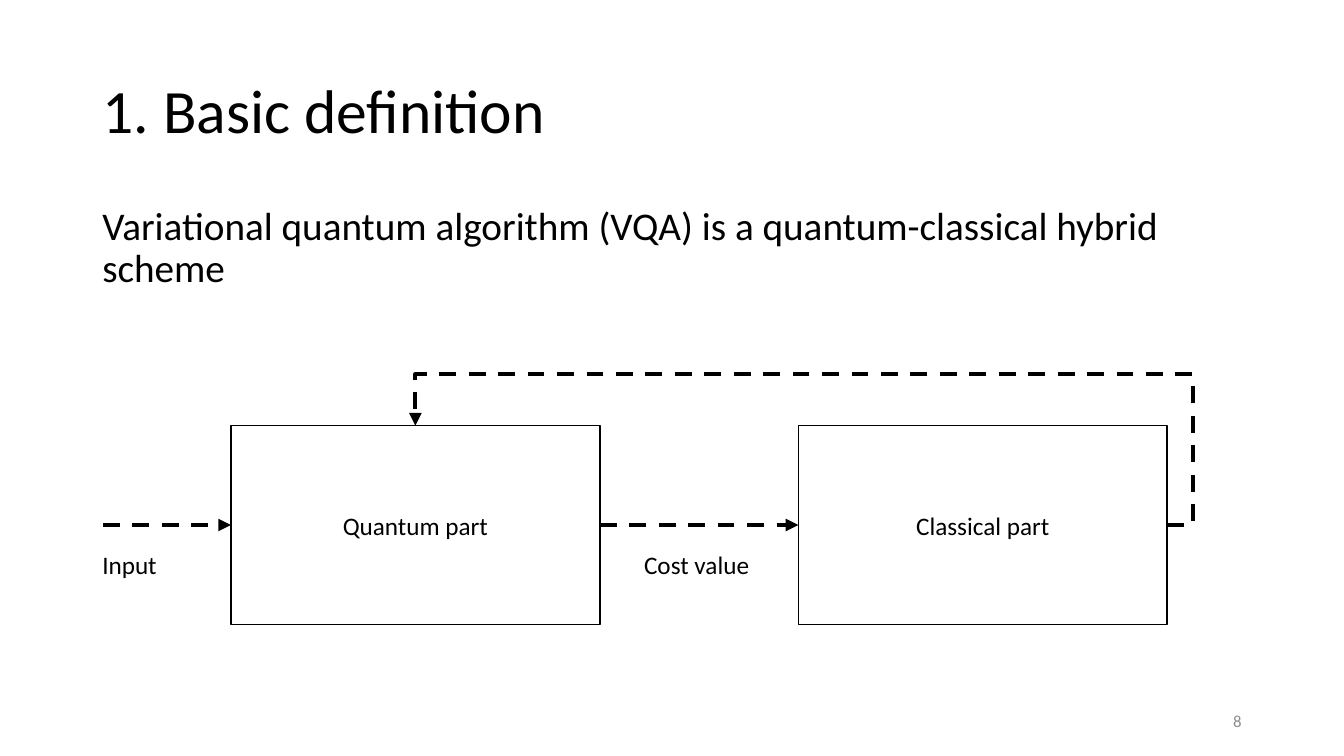
from lxml import etree
from pptx import Presentation
from pptx.dml.color import RGBColor
from pptx.enum import dml, shapes, text
from pptx.oxml import ns
from pptx.util import Pt

FONT = "Calibri"
BLACK = "000000"
GREY = "8C8C8C"
TOP, LEFT, BOTTOM, RIGHT = range(4)
PART_TOP, PART_WIDTH, PART_HEIGHT = 304, 263.5, 142
FLOW_Y = PART_TOP + PART_HEIGHT / 2
LABEL_TOP = 389


def colour(value):
    return RGBColor.from_string(value)


def write(shape, words, size, ink=BLACK, align=text.PP_ALIGN.LEFT,
          anchor=text.MSO_ANCHOR.TOP, spacing=1.0):
    frame = shape.text_frame
    frame.word_wrap = True
    frame.vertical_anchor = anchor
    paragraph = frame.paragraphs[0]
    paragraph.alignment = align
    paragraph.line_spacing = spacing
    run = paragraph.add_run()
    run.text = words
    run.font.name = FONT
    run.font.size = Pt(size)
    run.font.color.rgb = colour(ink)


def add_label(slide, left, top, width, height, words, size, **style):
    label = slide.shapes.add_textbox(Pt(left), Pt(top), Pt(width), Pt(height))
    write(label, words, size, **style)


def add_part(slide, left, words):
    part = slide.shapes.add_shape(shapes.MSO_SHAPE.RECTANGLE, Pt(left), Pt(PART_TOP),
                                  Pt(PART_WIDTH), Pt(PART_HEIGHT))
    part.shadow.inherit = False
    part.fill.background()
    part.line.color.rgb = colour(BLACK)
    part.line.width = Pt(1)
    write(part, words, 18, align=text.PP_ALIGN.CENTER, anchor=text.MSO_ANCHOR.MIDDLE)
    return part


def add_arrow(slide, target, side, source=None, start_x=0,
              kind=shapes.MSO_CONNECTOR.STRAIGHT):
    arrow = slide.shapes.add_connector(kind, Pt(start_x), Pt(FLOW_Y), Pt(start_x), Pt(FLOW_Y))
    if source is not None:
        arrow.begin_connect(source, RIGHT)
    arrow.end_connect(target, side)
    arrow.line.color.rgb = colour(BLACK)
    arrow.line.width = Pt(3)
    arrow.line.dash_style = dml.MSO_LINE.DASH
    etree.SubElement(arrow.line._get_or_add_ln(), ns.qn("a:tailEnd"), type="triangle")
    etree.SubElement(arrow._element.spPr, ns.qn("a:effectLst"))
    return arrow


def route_around(arrow, *adjustments):
    geometry = arrow._element.spPr.find(ns.qn("a:prstGeom"))
    geometry.set("prst", "bentConnector4")
    guides = geometry.find(ns.qn("a:avLst"))
    if guides is None:
        guides = etree.SubElement(geometry, ns.qn("a:avLst"))
    for number, share in enumerate(adjustments, 1):
        etree.SubElement(guides, ns.qn("a:gd"), name=f"adj{number}",
                         fmla=f"val {round(share * 100000)}")


def main():
    deck = Presentation()
    deck.slide_width, deck.slide_height = Pt(960), Pt(540)
    slide = deck.slides.add_slide(deck.slide_layouts[5])

    title = slide.shapes.title
    title.left, title.top, title.width, title.height = Pt(66), Pt(28.8), Pt(828), Pt(104.4)
    write(title, "1. Basic definition", 44, anchor=text.MSO_ANCHOR.MIDDLE, spacing=0.9)
    add_label(slide, 66, 144, 828, 105,
              "Variational quantum algorithm (VQA) is a quantum-classical hybrid scheme",
              28, spacing=0.9)

    quantum = add_part(slide, 165, "Quantum part")
    classical = add_part(slide, 570.25, "Classical part")
    add_arrow(slide, quantum, LEFT, start_x=73.5)
    add_arrow(slide, classical, LEFT, source=quantum)
    feedback = add_arrow(slide, quantum, TOP, source=classical,
                         kind=shapes.MSO_CONNECTOR.ELBOW)
    route_around(feedback, -0.034, 1.516)

    for left, words in ((66, "Input"), (453, "Cost value")):
        add_label(slide, left, LABEL_TOP, 91.5, 29, words, 18)
    add_label(slide, 678, 500.5, 216, 28.75, "8", 12, ink=GREY,
              align=text.PP_ALIGN.RIGHT, anchor=text.MSO_ANCHOR.MIDDLE)

    deck.save("out.pptx")


if __name__ == "__main__":
    main()
